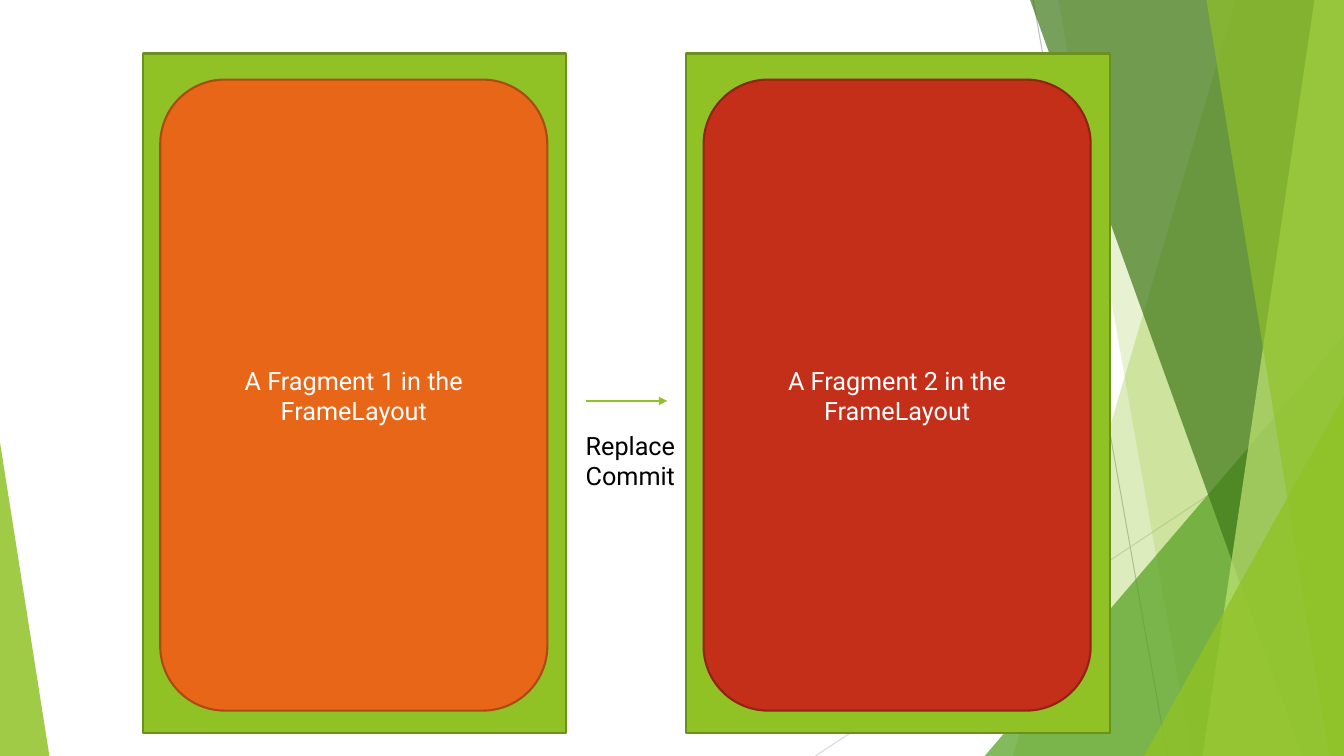
"""Build the slide showing one fragment replacing another in a FrameLayout."""
from lxml.etree import SubElement
from pptx import Presentation
from pptx.dml.color import RGBColor
from pptx.enum.shapes import MSO_CONNECTOR, MSO_SHAPE
from pptx.enum.text import MSO_ANCHOR, PP_ALIGN
from pptx.oxml.ns import qn
from pptx.util import Pt

W, H = 960, 540
COLORS = {
    "green": "90C226", "green_edge": "6B901C", "leaf": "54A021",
    "forest": "3F7819", "lime": "C0E474", "orange": "E76618",
    "orange_edge": "AB4B12", "red": "C42F1A", "red_edge": "912313",
    "white": "FFFFFF", "black": "000000", "gray": "BFBFBF", "light_gray": "D9D9D9",
}
RIGHT_EDGE = [(W, H), (W, 0)]
RAYS = [
    ((582.5, H), (957.6, 290.9), "light_gray"),
    ((738, 0), (833.8, H), "gray"),
]
FACETS = [
    ([(882.7, 0), (723.6, H)] + RIGHT_EDGE, "green", 30),
    ([(756, 0), (851, H)] + RIGHT_EDGE, "green", 20),
    ([(703.4, H), (W, 239.8), (W, H)], "leaf", 72),
    ([(735.8, 0), (930.2, H)] + RIGHT_EDGE, "forest", 70),
    ([(938.9, 0), (859, H)] + RIGHT_EDGE, "lime", 70),
    ([(861.8, 0), (949.7, H)] + RIGHT_EDGE, "green", 65),
    ([(817.2, H), (W, 283), (W, H)], "green", 80),
    ([(0, 316), (35.3, H), (0, H)], "green", 85),
]
FRAGMENTS = [
    ("A Fragment 1 in the FrameLayout", "orange"),
    ("A Fragment 2 in the FrameLayout", "red"),
]
ACTIONS = ["Replace", "Commit"]
FRAME_X, FRAME_Y, FRAME_W, FRAME_H, FRAME_STEP = 102.2, 38.2, 302.4, 485.3, 388.1
CARD_DX, CARD_DY, CARD_W, CARD_H = 12.3, 18.7, 276.5, 450.7
FONT = {"name": "Roboto", "size": Pt(18)}


def rgb(name):
    """Return the named colour."""
    return RGBColor.from_string(COLORS[name])


def paint(s, fill):
    """Give a shape a plain fill and no shadow."""
    s.shadow.inherit = False
    s.fill.solid()
    s.fill.fore_color.rgb = rgb(fill)


def add_line(sp, start, end, color, width):
    """Draw a straight line without a shadow."""
    s = sp.add_connector(MSO_CONNECTOR.STRAIGHT, *map(Pt, start + end))
    s.line.color.rgb = rgb(color)
    s.line.width = Pt(width)
    SubElement(s._element.spPr, qn("a:effectLst"))
    return s


def add_facet(sp, points, color, opacity):
    """Draw a translucent polygon."""
    corners = [(Pt(x), Pt(y)) for x, y in points]
    fb = sp.build_freeform(*corners[0])
    fb.add_line_segments(corners[1:], close=True)
    s = fb.convert_to_shape()
    paint(s, color)
    s.line.fill.background()
    clr = s._element.spPr.find(qn("a:solidFill"))[0]
    SubElement(clr, qn("a:alpha"), val=str(opacity * 1000))


def add_panel(sp, kind, box, color):
    """Draw a panel outlined in its darker shade."""
    s = sp.add_shape(kind, *map(Pt, box))
    paint(s, color)
    s.line.color.rgb = rgb(color + "_edge")
    s.line.width = Pt(1.5)
    return s


def write(tf, lines, color):
    """Write centred paragraphs."""
    tf.word_wrap = True
    for i, text in enumerate(lines):
        p = tf.paragraphs[0] if i == 0 else tf.add_paragraph()
        p.alignment = PP_ALIGN.CENTER
        r = p.add_run()
        r.text = text
        for key, value in FONT.items():
            setattr(r.font, key, value)
        r.font.color.rgb = rgb(color)


def main():
    """Build and save the slide."""
    prs = Presentation()
    prs.slide_width, prs.slide_height = Pt(W), Pt(H)
    sp = prs.slides.add_slide(prs.slide_layouts[6]).shapes
    for start, end, color in RAYS:
        add_line(sp, start, end, color, 0.75)
    for facet in FACETS:
        add_facet(sp, *facet)
    for i, (text, color) in enumerate(FRAGMENTS):
        x = FRAME_X + i * FRAME_STEP
        add_panel(sp, MSO_SHAPE.RECTANGLE, (x, FRAME_Y, FRAME_W, FRAME_H), "green")
        box = (x + CARD_DX, FRAME_Y + CARD_DY, CARD_W, CARD_H)
        card = add_panel(sp, MSO_SHAPE.ROUNDED_RECTANGLE, box, color)
        card.text_frame.vertical_anchor = MSO_ANCHOR.MIDDLE
        write(card.text_frame, [text], "white")
    arrow = add_line(sp, (418.3, 286.4), (476.6, 286.4), "green", 1)
    SubElement(arrow.line._get_or_add_ln(), qn("a:tailEnd"), type="triangle")
    label = sp.add_textbox(*map(Pt, (408.2, 303.8, 84.2, 51)))
    write(label.text_frame, ACTIONS, "black")
    prs.save("out.pptx")


if __name__ == "__main__":
    main()
